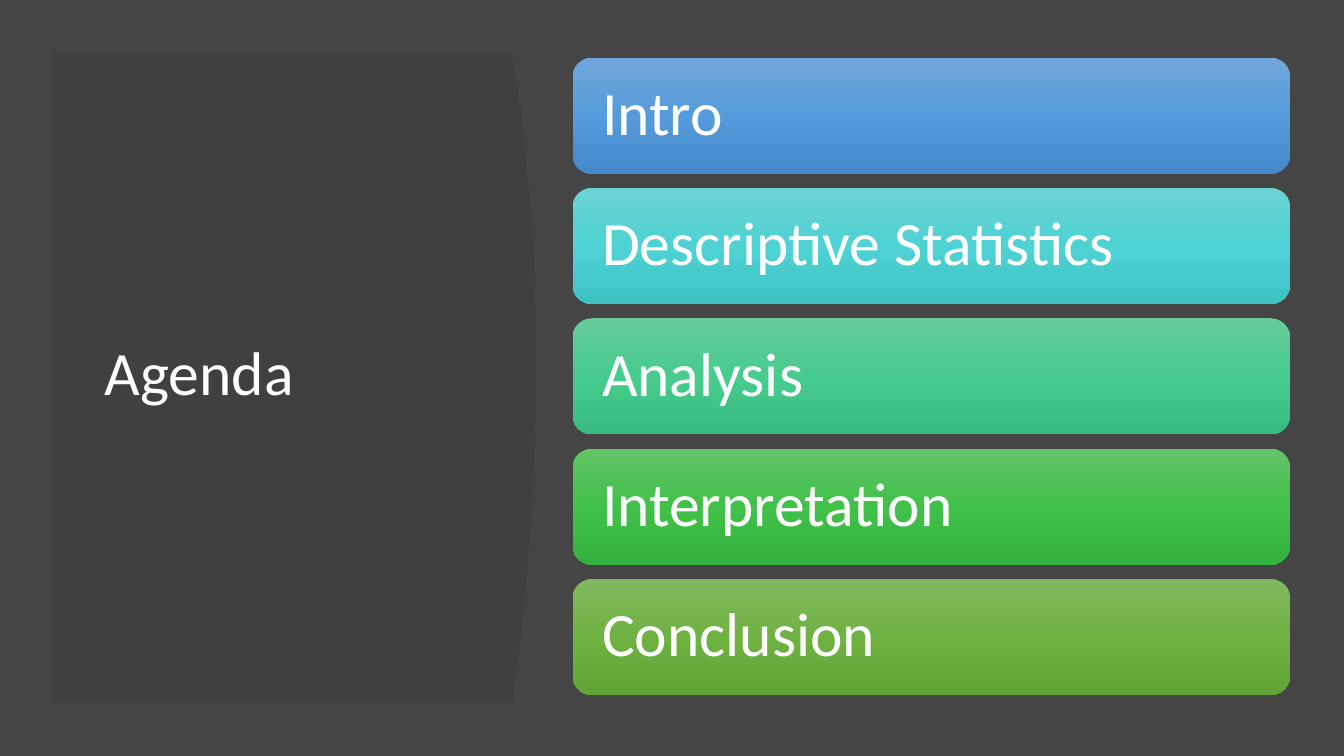
from copy import deepcopy

from pptx import Presentation
from pptx.dml.color import RGBColor
from pptx.enum.shapes import MSO_SHAPE
from pptx.enum.text import MSO_ANCHOR, PP_ALIGN
from pptx.oxml.ns import qn
from pptx.util import Pt

BACKGROUND = RGBColor(0x45, 0x45, 0x45)
PANEL = RGBColor(0x40, 0x40, 0x40)
WHITE = RGBColor(0xFF, 0xFF, 0xFF)

AGENDA = [
    ("Intro", [RGBColor(0x71, 0xA6, 0xDB), RGBColor(0x55, 0x9B, 0xDB), RGBColor(0x44, 0x8A, 0xCA)]),
    ("Descriptive Statistics", [RGBColor(0x6C, 0xD3, 0xD3), RGBColor(0x4E, 0xD2, 0xD3), RGBColor(0x3E, 0xC2, 0xC3)]),
    ("Analysis", [RGBColor(0x67, 0xCC, 0x9A), RGBColor(0x47, 0xCB, 0x8E), RGBColor(0x39, 0xBB, 0x7F)]),
    ("Interpretation", [RGBColor(0x63, 0xC3, 0x68), RGBColor(0x42, 0xC1, 0x4A), RGBColor(0x34, 0xB2, 0x3D)]),
    ("Conclusion", [RGBColor(0x81, 0xB8, 0x61), RGBColor(0x6F, 0xB2, 0x42), RGBColor(0x62, 0xA3, 0x36)]),
]

PANEL_LEFT, PANEL_TOP, PANEL_BOTTOM = 38.2, 37.4, 501.1
PANEL_CURVE = [
    (365.8, PANEL_TOP), (368, 53.3), (371.5, 74.9), (375.1, 107.3),
    (378.4, 139.7), (380.9, 171.4), (382.3, 203), (383, 244.1),
    (383, 283.7), (382.3, 311.8), (380.9, 339.1), (379.4, 373),
    (376.8, 403.9), (374.4, 431.3), (371.7, 455.8), (369.2, 475.9),
    (365.8, PANEL_BOTTOM),
]

BAR_LEFT, BAR_TOP, BAR_WIDTH, BAR_HEIGHT, BAR_PITCH = 409, 41.1, 512.5, 82.9, 93.1


def write_text(shape, text, margin):
    frame = shape.text_frame
    frame.word_wrap = True
    frame.vertical_anchor = MSO_ANCHOR.MIDDLE
    frame.margin_left = frame.margin_right = Pt(margin)
    frame.margin_top = frame.margin_bottom = Pt(3.6)
    paragraph = frame.paragraphs[0]
    paragraph.alignment = PP_ALIGN.LEFT
    paragraph.line_spacing = 0.9
    run = paragraph.add_run()
    run.text = text
    run.font.name = "Calibri"
    run.font.size = Pt(44)
    run.font.color.rgb = WHITE


presentation = Presentation()
presentation.slide_width = Pt(960)
presentation.slide_height = Pt(540)
slide = presentation.slides.add_slide(presentation.slide_layouts[6])
slide.background.fill.solid()
slide.background.fill.fore_color.rgb = BACKGROUND

builder = slide.shapes.build_freeform(Pt(PANEL_LEFT), Pt(PANEL_TOP))
outline = PANEL_CURVE + [(PANEL_LEFT, PANEL_BOTTOM)]
builder.add_line_segments([(Pt(x), Pt(y)) for x, y in outline], close=True)
panel = builder.convert_to_shape()
panel.shadow.inherit = False
panel.fill.solid()
panel.fill.fore_color.rgb = PANEL
panel.line.fill.background()

title = slide.shapes.add_textbox(Pt(67.7), Pt(79.9), Pt(269.3), Pt(377.3))
write_text(title, "Agenda", 7.2)

for row, (topic, colors) in enumerate(AGENDA):
    bar = slide.shapes.add_shape(
        MSO_SHAPE.ROUNDED_RECTANGLE,
        Pt(BAR_LEFT), Pt(BAR_TOP + row * BAR_PITCH), Pt(BAR_WIDTH), Pt(BAR_HEIGHT),
    )
    bar.shadow.inherit = False
    bar.line.fill.background()
    bar.fill.gradient()
    bar.fill.gradient_angle = 270
    stop_list = bar.element.spPr.find(qn("a:gradFill")).find(qn("a:gsLst"))
    stop_list.append(deepcopy(stop_list[0]))
    for index, (stop, color) in enumerate(zip(bar.fill.gradient_stops, colors)):
        stop.position = index / 2
        stop.color.rgb = color
    write_text(bar, topic, 17)

presentation.save("out.pptx")
